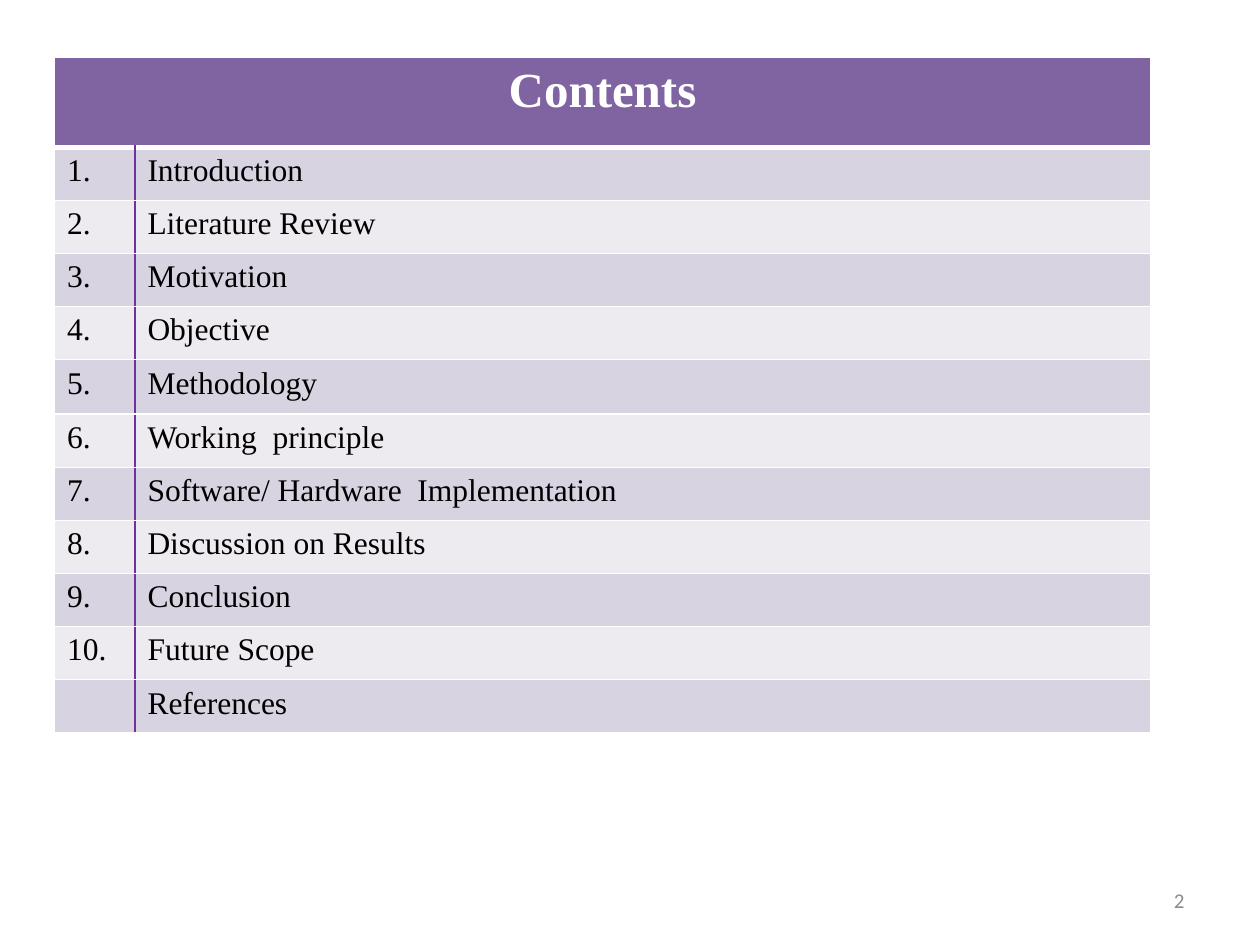
from lxml import etree
from pptx import Presentation
from pptx.dml.color import RGBColor
from pptx.enum.text import MSO_ANCHOR, PP_ALIGN
from pptx.oxml.ns import qn
from pptx.util import Cm, Pt

LEFT, CENTER, RIGHT = PP_ALIGN.LEFT, PP_ALIGN.CENTER, PP_ALIGN.RIGHT
MIDDLE = MSO_ANCHOR.MIDDLE

WHITE = RGBColor(0xFF, 0xFF, 0xFF)
BLACK = RGBColor(0x00, 0x00, 0x00)
GREY = RGBColor(0x8C, 0x8C, 0x8C)
HEAD = RGBColor(0x80, 0x64, 0xA2)
DARK = RGBColor(0xD8, 0xD3, 0xE0)
PALE = RGBColor(0xED, 0xEA, 0xF0)
RULE = RGBColor(0x70, 0x30, 0xA0)

TOPICS = [
    "Introduction",
    "Literature Review",
    "Motivation",
    "Objective",
    "Methodology",
    "Working  principle",
    "Software/ Hardware  Implementation",
    "Discussion on Results",
    "Conclusion",
    "Future Scope",
    "References",
]


def write(frame, text, size=18, font="Times New Roman", color=BLACK,
          bold=False, align=LEFT):
    para = frame.paragraphs[0]
    para.alignment = align
    run = para.add_run()
    run.text = text
    run.font.size = Pt(size)
    run.font.name = font
    run.font.bold = bold
    run.font.color.rgb = color


def style(cell, fill, left=(WHITE, 1), right=(WHITE, 1), top=(WHITE, 1),
          base=(WHITE, 1)):
    """Set the four borders of a cell, then its fill."""
    props = cell._tc.get_or_add_tcPr()
    for side, (color, width) in zip("LRTB", (left, right, top, base)):
        line = etree.SubElement(props, qn(f"a:ln{side}"), w=str(Pt(width)))
        solid = etree.SubElement(line, qn("a:solidFill"))
        etree.SubElement(solid, qn("a:srgbClr"), val=str(color))
    cell.fill.solid()
    cell.fill.fore_color.rgb = fill


prs = Presentation()
prs.slide_width, prs.slide_height = Cm(25.4), Cm(19.05)
slide = prs.slides.add_slide(prs.slide_layouts[6])

# Table grid
count = len(TOPICS)
table = slide.shapes.add_table(count + 1, 2, Cm(1.1), Cm(1.15),
                               Cm(22.09), Cm(13.61)).table
table.columns[0].width = Cm(1.62)
table.columns[1].width = Cm(20.47)
for row in table.rows:
    row.height = Cm(1.07)
table.rows[0].height = Cm(1.82)
table.rows[5].height = Cm(1.1)

# Heading across both columns
title = table.cell(0, 0)
title.merge(table.cell(0, 1))
for cell in table.rows[0].cells:
    style(cell, HEAD, base=(WHITE, 3))
write(title.text_frame, "Contents", size=28, color=WHITE, bold=True,
      align=CENTER)

# Numbered topics in banded rows; the last one has no number
for num, topic in enumerate(TOPICS, 1):
    label, entry = table.rows[num].cells
    fill = DARK if num % 2 else PALE
    top = (WHITE, 3 if num == 1 else 1)
    style(label, fill, right=(RULE, 1.5), top=top)
    style(entry, fill, left=(RULE, 1.5), top=top)
    if num < count:
        write(label.text_frame, f"{num}.")
    write(entry.text_frame, topic)

# Slide number
box = slide.shapes.add_textbox(Cm(18.2), Cm(17.65), Cm(5.93), Cm(1.01))
box.text_frame.word_wrap = True
box.text_frame.vertical_anchor = MIDDLE
write(box.text_frame, "2", size=12, font="Calibri", color=GREY, align=RIGHT)

prs.save("out.pptx")
